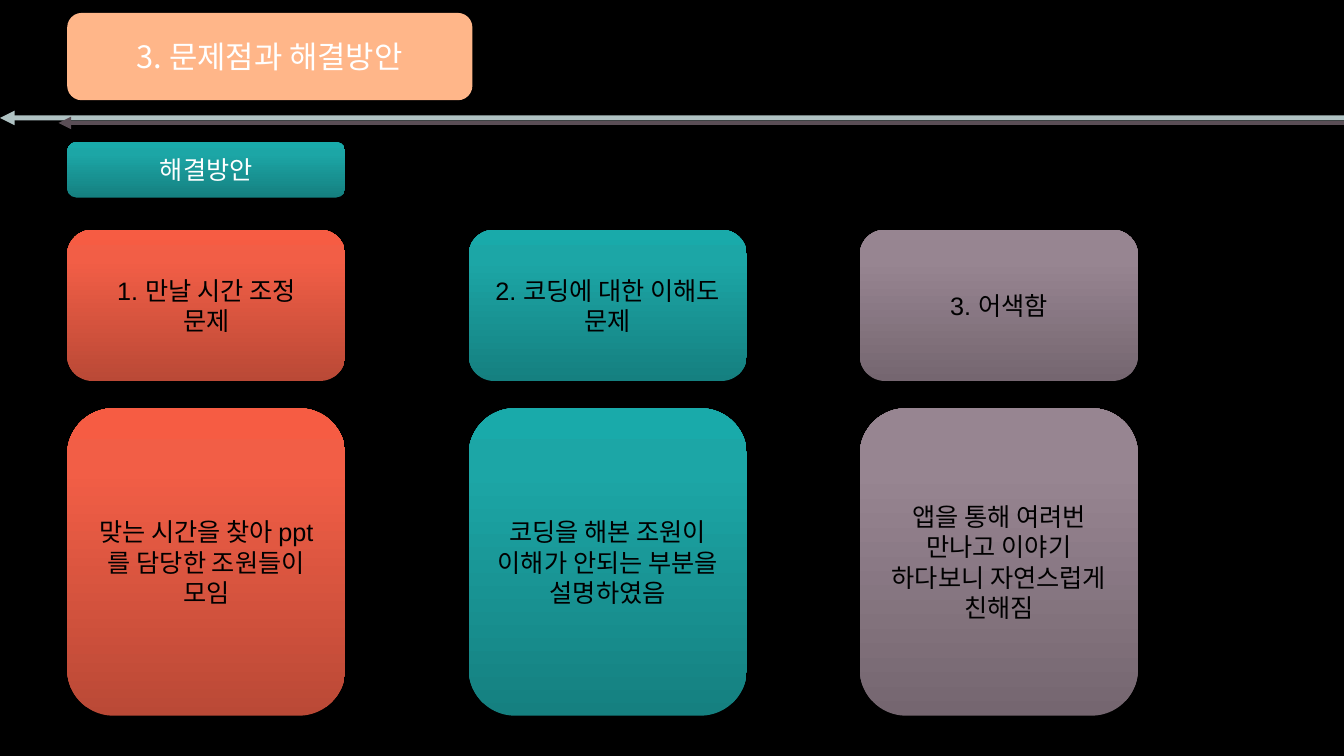
from copy import deepcopy
from dataclasses import dataclass

from lxml.etree import SubElement
from pptx import Presentation
from pptx.dml.color import RGBColor
from pptx.enum.shapes import MSO_CONNECTOR, MSO_SHAPE
from pptx.enum.text import MSO_ANCHOR, MSO_AUTO_SIZE, PP_ALIGN
from pptx.oxml.ns import qn
from pptx.shapes.autoshape import Shape
from pptx.slide import Slide
from pptx.util import Pt

BLACK = RGBColor(0x00, 0x00, 0x00)
WHITE = RGBColor(0xFF, 0xFF, 0xFF)
PEACH = RGBColor(0xFF, 0xB6, 0x89)
PALE_BLUE = RGBColor(0xDB, 0xF3, 0xF4)
PLUM = RGBColor(0x5A, 0x4E, 0x56)
# Gradient colours from the bottom edge to the top edge
CORAL = (RGBColor(0xBA, 0x49, 0x36), RGBColor(0xF2, 0x5E, 0x46), RGBColor(0xF6, 0x5C, 0x43))
TEAL = (RGBColor(0x15, 0x80, 0x80), RGBColor(0x1C, 0xA6, 0xA6), RGBColor(0x19, 0xAA, 0xAA))
MAUVE = (RGBColor(0x75, 0x66, 0x70), RGBColor(0x97, 0x85, 0x91), RGBColor(0x98, 0x85, 0x92))
STOP_POSITIONS = (0, 0.8, 1)

SLIDE_WIDTH, SLIDE_HEIGHT = 960, 540
LEFT_MARGIN = 48
CARD_WIDTH = 198.72


@dataclass(frozen=True)
class Box:
    left: float
    top: float
    width: float
    height: float


@dataclass(frozen=True)
class Issue:
    left: float
    gradient: tuple[RGBColor, ...]
    problem: str
    solution: str


@dataclass(frozen=True)
class Arrow:
    tip: float
    y: float
    color: RGBColor
    weight: float
    opacity: int


TITLE_BOX = Box(LEFT_MARGIN, 9.2, 289.44, 62.4)
ISSUES = (
    Issue(LEFT_MARGIN, CORAL, "1. 만날 시간 조정\n문제",
          "맞는 시간을 찾아 ppt를 담당한 조원들이 모임"),
    Issue(334.8, TEAL, "2. 코딩에 대한 이해도 문제",
          "코딩을 해본 조원이 이해가 안되는 부분을 설명하였음"),
    Issue(614.16, MAUVE, "3. 어색함",
          "앱을 통해 여려번\n만나고 이야기\n하다보니 자연스럽게 친해짐"),
)
ARROWS = (
    Arrow(0, 84.24, PALE_BLUE, 3.5, 80),
    Arrow(41.76, 87.84, PLUM, 3, 100),
)


def write_centred(shape: Shape, text: str, font: str, size: float, color: RGBColor) -> None:
    frame = shape.text_frame
    frame.text = text
    frame.word_wrap = True
    frame.auto_size = MSO_AUTO_SIZE.NONE
    frame.vertical_anchor = MSO_ANCHOR.MIDDLE
    for paragraph in frame.paragraphs:
        paragraph.alignment = PP_ALIGN.CENTER
        for run in paragraph.runs:
            run.font.name = font
            run.font.size = Pt(size)
            run.font.color.rgb = color


def fill_upward(shape: Shape, colors: tuple[RGBColor, ...]) -> None:
    """Fill with a three-stop gradient running from bottom to top."""
    shape.fill.gradient()
    shape.fill.gradient_angle = 90
    stop_list = shape.element.spPr.find(".//" + qn("a:gsLst"))
    stop_list.append(deepcopy(stop_list[-1]))
    for stop, position, color in zip(shape.fill.gradient_stops, STOP_POSITIONS, colors):
        stop.position = position
        stop.color.rgb = color


def add_panel(slide: Slide, preset: MSO_SHAPE, box: Box) -> Shape:
    """Add a shape without outline or shadow."""
    panel = slide.shapes.add_shape(preset, Pt(box.left), Pt(box.top),
                                   Pt(box.width), Pt(box.height))
    panel.shadow.inherit = False
    panel.line.fill.background()
    return panel


def add_card(slide: Slide, box: Box, gradient: tuple[RGBColor, ...],
             text: str, color: RGBColor = BLACK) -> None:
    card = add_panel(slide, MSO_SHAPE.ROUNDED_RECTANGLE, box)
    fill_upward(card, gradient)
    write_centred(card, text, "Arial", 18, color)


def add_arrow(slide: Slide, arrow: Arrow) -> None:
    connector = slide.shapes.add_connector(MSO_CONNECTOR.STRAIGHT, Pt(SLIDE_WIDTH), Pt(arrow.y),
                                           Pt(arrow.tip), Pt(arrow.y))
    connector.line.width = Pt(arrow.weight)
    connector.line.color.rgb = arrow.color
    properties = connector.element.spPr
    outline = properties.find(qn("a:ln"))
    if arrow.opacity < 100:
        color = outline.find(".//" + qn("a:srgbClr"))
        SubElement(color, qn("a:alpha"), val=str(arrow.opacity * 1000))
    SubElement(outline, qn("a:tailEnd"), type="triangle")
    SubElement(properties, qn("a:effectLst"))


def place_title(slide: Slide, text: str) -> None:
    """Set the title placeholder on top of a rounded peach panel."""
    panel = add_panel(slide, MSO_SHAPE.FLOWCHART_ALTERNATE_PROCESS, TITLE_BOX)
    panel.fill.solid()
    panel.fill.fore_color.rgb = PEACH
    title = slide.shapes.title
    title.left, title.top = Pt(TITLE_BOX.left), Pt(TITLE_BOX.top)
    title.width, title.height = Pt(TITLE_BOX.width), Pt(TITLE_BOX.height)
    write_centred(title, text, "Noto Sans CJK KR", 22, WHITE)
    panel.element.addnext(title.element)


def main() -> None:
    deck = Presentation()
    deck.slide_width, deck.slide_height = Pt(SLIDE_WIDTH), Pt(SLIDE_HEIGHT)
    slide = deck.slides.add_slide(deck.slide_layouts.get_by_name("Title Only"))
    slide.background.fill.solid()
    slide.background.fill.fore_color.rgb = BLACK

    for arrow in ARROWS:
        add_arrow(slide, arrow)
    place_title(slide, "3. 문제점과 해결방안")
    add_card(slide, Box(LEFT_MARGIN, 101.52, CARD_WIDTH, 39.6), TEAL, "해결방안", WHITE)
    for issue in ISSUES:
        add_card(slide, Box(issue.left, 164.16, CARD_WIDTH, 108), issue.gradient, issue.problem)
        add_card(slide, Box(issue.left, 291.6, CARD_WIDTH, 219.6), issue.gradient, issue.solution)

    deck.save("out.pptx")


if __name__ == "__main__":
    main()
